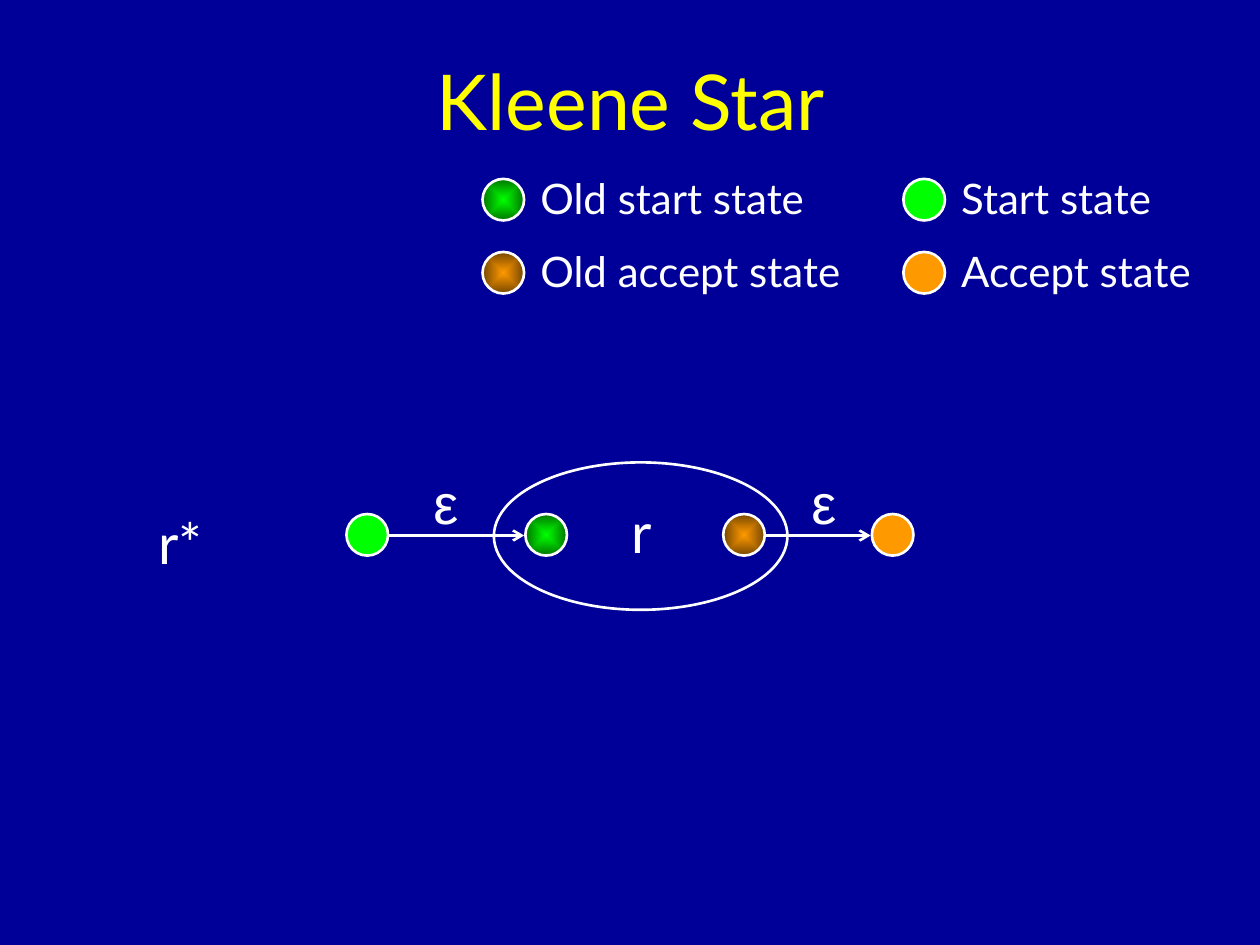
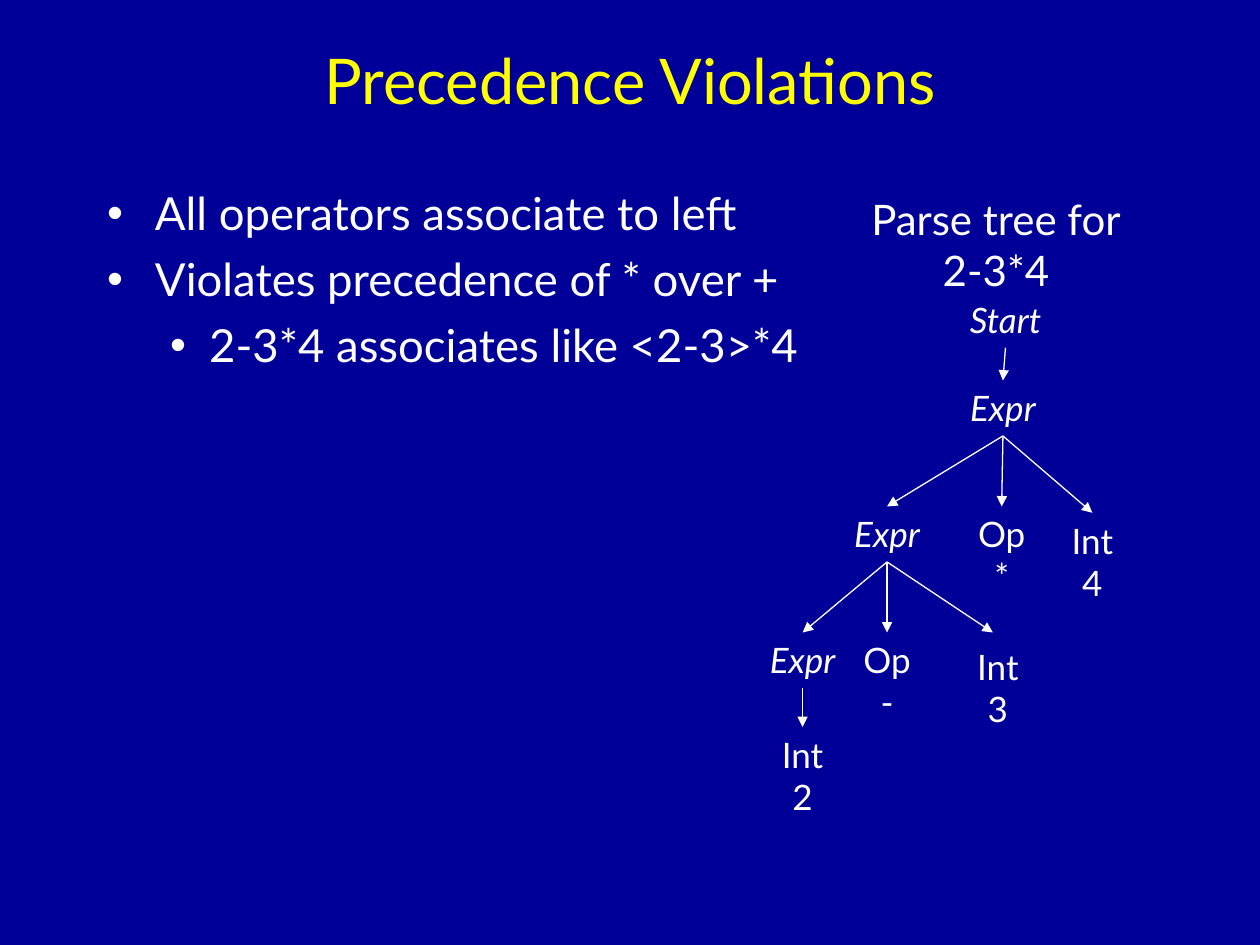
from dataclasses import dataclass

from lxml import etree
from pptx import Presentation
from pptx import util as u
from pptx.dml.color import RGBColor
from pptx.enum import shapes, text
from pptx.oxml import ns


@dataclass(frozen=True)
class Theme:
    background: RGBColor = RGBColor(0x00, 0x00, 0x99)
    heading: RGBColor = RGBColor(0xFF, 0xFF, 0x00)
    ink: RGBColor = RGBColor(0xFF, 0xFF, 0xFF)
    start: RGBColor = RGBColor(0x00, 0xFF, 0x00)
    start_rim: RGBColor = RGBColor(0x00, 0x76, 0x00)
    accept: RGBColor = RGBColor(0xFF, 0x99, 0x00)
    accept_rim: RGBColor = RGBColor(0x76, 0x47, 0x00)
    font: str = "Lato"
    symbol_font: str = "Arial"
    large_title: int = 44
    title: int = 36
    formula: int = 32
    bullet: int = 26
    label: int = 24
    node: int = 20
    bullet_gap: float = 6.5
    bold_line: float = 1.5
    thin_line: float = 0.75


THEME = Theme()
STATE_SIZE = 0.33
START = (THEME.start,)
ACCEPT = (THEME.accept,)
OLD_START = (THEME.start, THEME.start_rim)
OLD_ACCEPT = (THEME.accept, THEME.accept_rim)


def add_xml(parent, tag, **attributes):
    return etree.SubElement(parent, ns.qn(tag), attributes)


def place(shape, left, top, width, height):
    shape.left, shape.top = u.Inches(left), u.Inches(top)
    shape.width, shape.height = u.Inches(width), u.Inches(height)


class Deck:
    def __init__(self, theme):
        self.theme = theme
        self.prs = Presentation()
        self.prs.slide_width, self.prs.slide_height = u.Inches(10), u.Inches(7.5)
        fill = self.prs.slide_master.background.fill
        fill.solid()
        fill.fore_color.rgb = theme.background
        self.slide = None

    def new_slide(self, layout, heading, size, box):
        self.slide = self.prs.slides.add_slide(self.prs.slide_layouts[layout])
        title = self.slide.shapes.title
        place(title, *box)
        frame = title.text_frame
        frame.text = heading
        frame.auto_size = text.MSO_AUTO_SIZE.NONE
        frame.vertical_anchor = text.MSO_ANCHOR.MIDDLE
        frame.paragraphs[0].alignment = text.PP_ALIGN.CENTER
        self.style(frame.paragraphs[0], size, color=self.theme.heading)

    def style(self, paragraph, size, color=None, font=None, italic=False):
        for run in paragraph.runs:
            run.font.size = u.Pt(size)
            run.font.name = font or self.theme.font
            run.font.color.rgb = color or self.theme.ink
            run.font.italic = italic

    def bullets(self, box, items):
        body = self.slide.placeholders[1]
        place(body, *box)
        frame = body.text_frame
        frame.text = "\n".join(line for line, _ in items)
        frame.auto_size = text.MSO_AUTO_SIZE.NONE
        for number, (paragraph, (_, level)) in enumerate(zip(frame.paragraphs, items)):
            margin, hanging = ((0.38, 0.38), (0.81, 0.31))[level]
            paragraph.level = level
            props = paragraph._p.get_or_add_pPr()
            props.set("marL", str(u.Inches(margin)))
            props.set("indent", str(-u.Inches(hanging)))
            add_xml(add_xml(props, "a:buClr"), "a:srgbClr", val=str(self.theme.ink))
            add_xml(props, "a:buChar", char="•")
            paragraph.space_before = u.Pt(self.theme.bullet_gap if number else 0)
            self.style(paragraph, self.theme.bullet)

    def label(self, words, box, size, centred=False, **style):
        frame = self.slide.shapes.add_textbox(*map(u.Inches, box)).text_frame
        frame.text = words
        frame.word_wrap = False
        frame.auto_size = text.MSO_AUTO_SIZE.SHAPE_TO_FIT_TEXT
        for paragraph in frame.paragraphs:
            if centred:
                paragraph.alignment = text.PP_ALIGN.CENTER
            self.style(paragraph, size, **style)

    def ellipse(self, box, colors=()):
        oval = self.slide.shapes.add_shape(
            shapes.MSO_SHAPE.OVAL, *map(u.Inches, box))
        oval.shadow.inherit = False
        oval.line.color.rgb = self.theme.ink
        oval.line.width = u.Pt(self.theme.bold_line)
        if not colors:
            oval.fill.background()
        elif len(colors) == 1:
            oval.fill.solid()
            oval.fill.fore_color.rgb = colors[0]
        else:
            self.radial_fill(oval, colors)

    def radial_fill(self, oval, colors):
        oval.fill.gradient()
        for stop, color in zip(oval.fill.gradient_stops, colors):
            stop.color.rgb = color
        gradient = oval.element.spPr.find(ns.qn("a:gradFill"))
        gradient.remove(gradient.find(ns.qn("a:lin")))
        centre = dict.fromkeys("ltrb", "50000")
        add_xml(add_xml(gradient, "a:path", path="rect"), "a:fillToRect", **centre)

    def state(self, left, top, colors):
        self.ellipse((left, top, STATE_SIZE, STATE_SIZE), colors)

    def arrow(self, begin, end, width, head):
        line = self.slide.shapes.add_connector(
            shapes.MSO_CONNECTOR.STRAIGHT, *map(u.Inches, (*begin, *end)))
        line.line.color.rgb = self.theme.ink
        line.line.width = u.Pt(width)
        props = line.element.spPr
        add_xml(props.find(ns.qn("a:ln")), "a:tailEnd", type=head)
        add_xml(props, "a:effectLst")


def kleene_star(deck):
    theme = deck.theme
    deck.new_slide(5, "Kleene Star", theme.large_title, (0.42, 0.17, 9.17, 1.25))

    legend = [
        ("Old start state", 3.83, 1.42, 2.42, OLD_START),
        ("Old accept state", 3.83, 2, 2.72, OLD_ACCEPT),
        ("Start state", 7.17, 1.42, 1.81, START),
        ("Accept state", 7.17, 2, 2.11, ACCEPT),
    ]
    for meaning, left, top, width, colors in legend:
        deck.state(left, top, colors)
        deck.label(meaning, (left + 0.36, top - 0.1, width, 0.5), theme.label)

    deck.ellipse((3.92, 3.67, 2.33, 1.17))
    for left, colors in ((2.75, START), (4.17, OLD_START),
                         (5.74, OLD_ACCEPT), (6.92, ACCEPT)):
        deck.state(left, 4.08, colors)
    for begin, end, epsilon in ((3.09, 4.16, 3.34), (6.08, 6.91, 6.34)):
        deck.arrow((begin, 4.25), (end, 4.25), theme.bold_line, "arrow")
        deck.label("ε", (epsilon, 3.67, 0.39, 0.64), theme.formula,
                   font=theme.symbol_font)
    deck.label("r*", (1.16, 3.99, 0.63, 0.64), theme.formula)
    deck.label("r", (4.91, 3.9, 0.38, 0.64), theme.formula)


def precedence_violations(deck):
    theme = deck.theme
    deck.new_slide(1, "Precedence Violations", theme.title, (0.75, 0.17, 8.5, 0.92))
    deck.bullets((0.75, 1.42, 8.5, 5.25), [
        ("All operators associate to left", 0),
        ("Violates precedence of * over +", 0),
        ("2-3*4 associates like <2-3>*4", 1),
    ])
    deck.label("Parse tree for\n2-3*4", (6.74, 1.49, 2.33, 0.9), theme.label,
               centred=True)

    widths = {"Start": 0.79, "Expr": 0.75, "Op": 0.59, "Int": 0.56}
    tree = {
        "start": ("Start", 7.98, 2.32),
        "whole": ("Expr", 7.96, 3.02),
        "difference": ("Expr", 7.04, 4.02),
        "times": ("Op\n*", 7.95, 4.02),
        "four": ("Int\n4", 8.67, 4.07),
        "operand": ("Expr", 6.37, 5.02),
        "minus": ("Op\n-", 7.04, 5.02),
        "three": ("Int\n3", 7.92, 5.07),
        "two": ("Int\n2", 6.37, 5.77),
    }
    children = {
        "start": ["whole"],
        "whole": ["difference", "times", "four"],
        "difference": ["operand", "minus", "three"],
        "operand": ["two"],
    }
    landings = {"three": (7.88, 5.02)}

    for words, centre, top in tree.values():
        kind, *value = words.split("\n")
        width = widths[kind]
        height = 0.77 if value else 0.44
        deck.label(words, (centre - width / 2, top, width, height), theme.node,
                   centred=True, italic=not value)
    for parent, branches in children.items():
        _, centre, top = tree[parent]
        for child in branches:
            landing = landings.get(child, tree[child][1:])
            deck.arrow((centre, top + 0.44), landing, theme.thin_line, "triangle")


def main():
    deck = Deck(THEME)
    kleene_star(deck)
    precedence_violations(deck)
    deck.prs.save("out.pptx")


if __name__ == "__main__":
    main()
